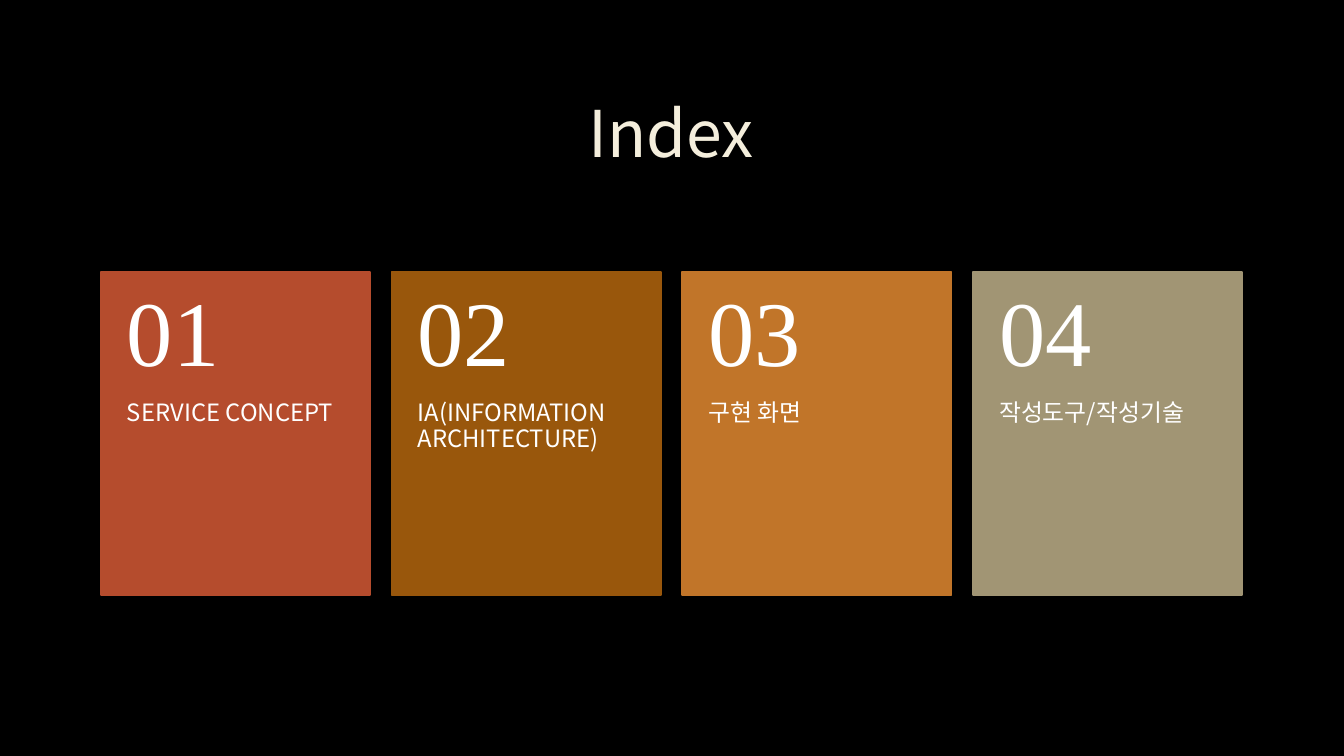
from pptx import Presentation
from pptx.util import Inches, Pt
from pptx.dml.color import RGBColor as Rgb
from pptx.enum.shapes import MSO_SHAPE as Shape
from pptx.enum.text import MSO_ANCHOR as Anchor, MSO_AUTO_SIZE as Auto, PP_ALIGN as Align
from lxml.etree import SubElement as Sub
from pptx.oxml.ns import qn

COLORS = {"back": "000000", "title": "F4EEDC", "text": "FFFFFF"}
SANS, SERIF = "Noto Sans CJK KR", "Times New Roman"
CARDS = [
    ("SERVICE CONCEPT", "B54C2D"),
    ("IA(INFORMATION ARCHITECTURE)", "99570C"),
    ("구현 화면", "C17529"),
    ("작성도구/작성기술", "A19574"),
]
LABEL = {"size": 17, "font": SANS, "color": COLORS["text"], "align": Align.LEFT,
         "anchor": Anchor.TOP, "pads": (0.26, 0, 0.26, 0.36)}
NUMBER = {**LABEL, "size": 66, "font": SERIF,
          "anchor": Anchor.MIDDLE, "pads": (0.26, 0.18, 0.26, 0.18)}
TITLE = {**LABEL, "size": 46, "color": COLORS["title"], "align": Align.CENTER,
         "anchor": Anchor.MIDDLE, "pads": (0.1, 0.05, 0.1, 0.05)}


def write(shape, text, style):
    """Fill the text frame of a shape with one styled paragraph."""
    frame = shape.text_frame
    frame.word_wrap = True
    frame.auto_size = Auto.NONE
    frame.vertical_anchor = style["anchor"]
    for side, pad in zip(("left", "top", "right", "bottom"), style["pads"]):
        setattr(frame, f"margin_{side}", Inches(pad))
    para = frame.paragraphs[0]
    para.alignment = style["align"]
    para.line_spacing = 0.9
    run = para.add_run()
    run.text = text
    run.font.size = Pt(style["size"])
    run.font.name = style["font"]
    run.font.color.rgb = Rgb.from_string(style["color"])
    # Korean letters take the East Asian font
    Sub(run.font._element, qn("a:ea"), typeface=style["font"])


def heading(slide, box):
    title = slide.shapes.title
    for name, size in zip(("left", "top", "width", "height"), box):
        setattr(title, name, Inches(size))
    write(title, "Index", TITLE)


def card(shapes, box, number, label, color):
    left, top, width, height = box
    # Coloured panel
    panel = shapes.add_shape(Shape.RECTANGLE, *map(Inches, box))
    panel.shadow.inherit = False
    panel.fill.solid()
    panel.fill.fore_color.rgb = panel.line.color.rgb = Rgb.from_string(color)
    panel.line.width = Pt(1.25)
    # Number in the top two fifths, label below
    split = height * 0.4
    parts = [(label, LABEL, top + split, height - split),
             (number, NUMBER, top, split)]
    for text, style, y, tall in parts:
        area = shapes.add_textbox(*map(Inches, (left, y, width, tall)))
        write(area, text, style)


def cards(slide, box):
    left, top, width, height = box
    wide = 2.67
    step = (width - wide) / (len(CARDS) - 1)
    group = slide.shapes.add_group_shape()
    for i, (label, color) in enumerate(CARDS):
        spot = (left + i * step, top, wide, height)
        card(group.shapes, spot, f"{i + 1:02}", label, color)


def main():
    deck = Presentation()
    deck.slide_width, deck.slide_height = Inches(13.33), Inches(7.5)
    slide = deck.slides.add_slide(deck.slide_layouts[5])
    slide.background.fill.solid()
    slide.background.fill.fore_color.rgb = Rgb.from_string(COLORS["back"])
    heading(slide, (1, 0.67, 11.32, 1.38))
    cards(slide, (1, 2.7, 11.32, 3.2))
    deck.save("out.pptx")


if __name__ == "__main__":
    main()
